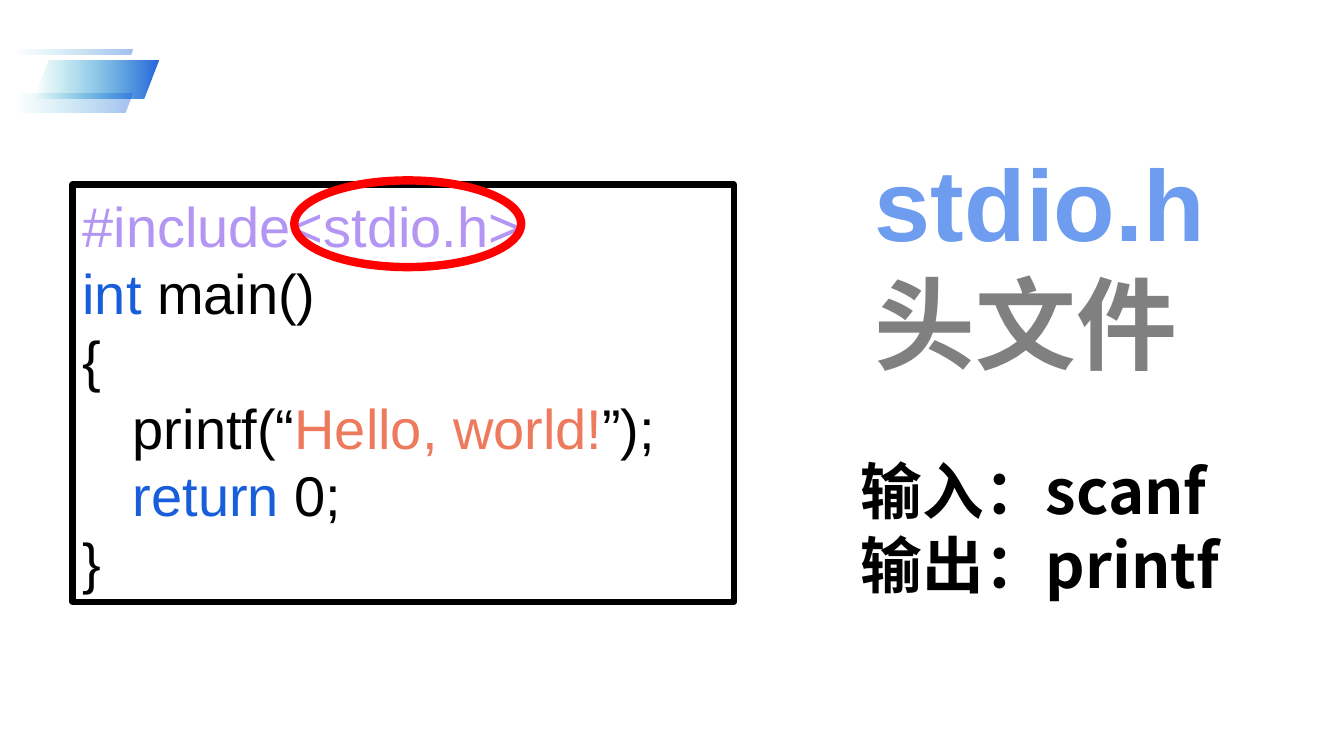
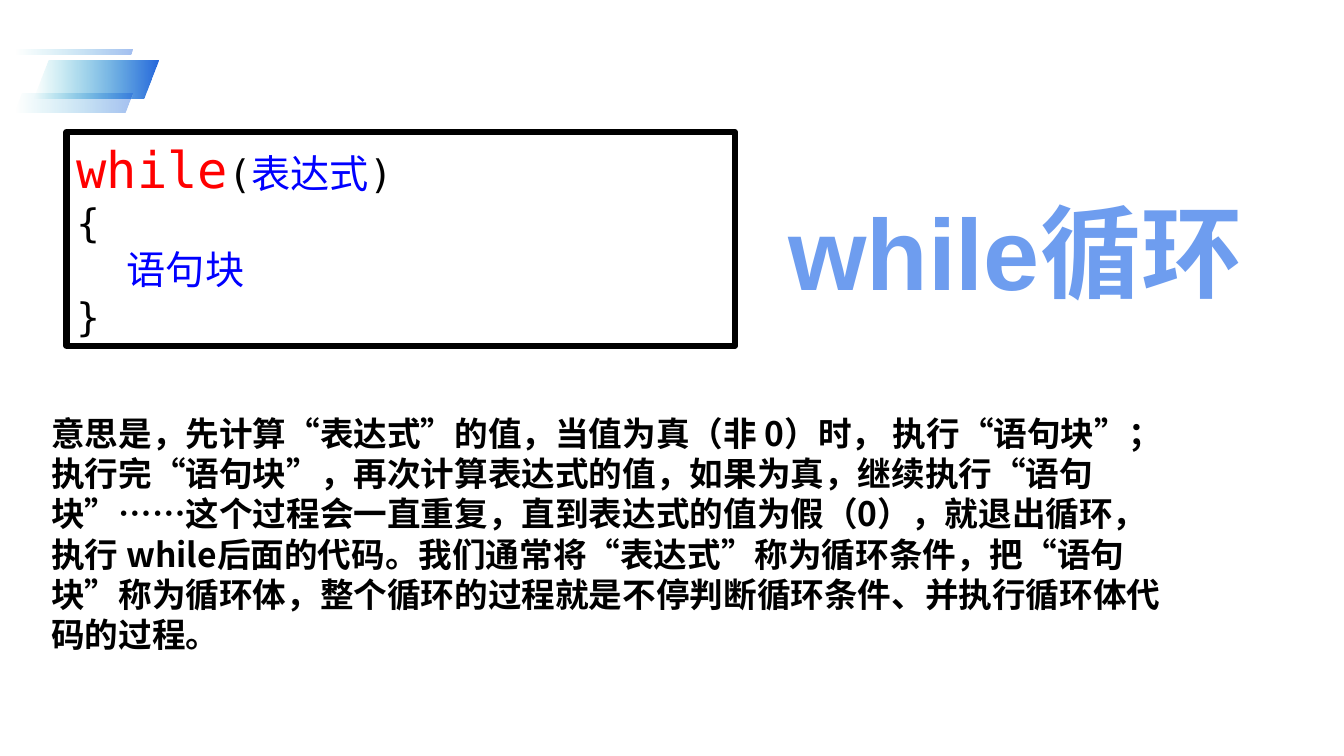
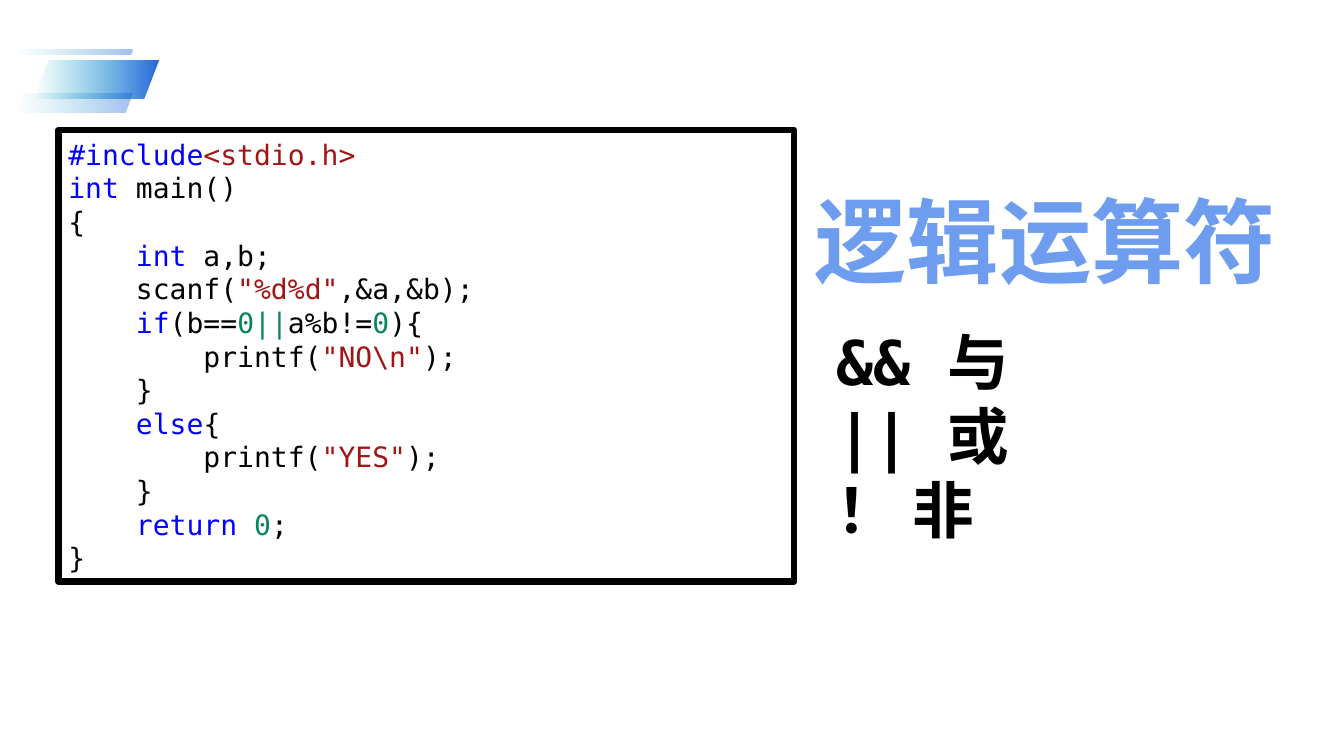
from lxml.etree import SubElement
from pptx import Presentation
from pptx.dml.color import RGBColor
from pptx.enum.shapes import MSO_SHAPE
from pptx.enum.text import MSO_ANCHOR, MSO_AUTO_SIZE, PP_ALIGN
from pptx.oxml.ns import qn
from pptx.util import Pt

HUES = {
    "black": "000000", "gray": "808080", "red": "FF0000", "sky": "6E9DEF",
    "royal": "185EDA", "teal": "07B2C4", "lilac": "B395F4", "coral": "EE7A5D",
    "blue": "0000FF", "brick": "A31515", "green": "098658",
}
SANS, MONO, HAN = "Arial", "DejaVu Sans Mono", "Noto Sans CJK SC"
LEAD = 1.2

BANDS = [
    ((23.76, 43.2, 89.28, 27.36), 94),
    ((10.08, 66.96, 84.24, 13.68), 40),
    ((10.08, 35.28, 84.24, 3.6), 40),
]

SLIDES = [
    {
        "code": {
            "at": (51.84, 131.76, 472.32, 298.08), "size": 40, "font": SANS,
            "lines": [
                [("#include<stdio.h>", "lilac")],
                [("int", "royal"), (" main()", "black")],
                [("{", "black")],
                [("\tprintf(“", "black"), ("Hello, world!", "coral"), ("”);", "black")],
                [("\t", "black"), ("return", "royal"), (" 0;", "black")],
                [("}", "black")],
            ],
        },
        "title": {
            "at": (617.76, 93.6, 258.48, 181.44), "size": 72, "font": SANS,
            "pad": 0.05,
            "lines": [[("stdio.h", "sky")], [("头文件", "gray")]],
        },
        "body": {
            "at": (607.68, 315.36, 281.52, 113.76), "size": 44, "font": HAN,
            "lines": [[("输入：scanf", "black")], [("输出：printf", "black")]],
        },
        "ring": (210.24, 128.88, 162, 61.92),
    },
    {
        "code": {
            "at": (47.52, 94.32, 477.36, 152.64), "size": 28, "font": MONO,
            "lines": [
                [("while", "red", 36), ("(", "black"), ("表达式", "blue"), (")", "black")],
                [("{", "black")],
                [("\t语句块", "blue")],
                [("}", "black")],
            ],
        },
        "title": {
            "at": (555.84, 124.56, 363.6, 181.44), "size": 72, "font": SANS,
            "lines": [[("while循环", "sky")]],
        },
        "body": {
            "at": (29.52, 288.72, 813.6, 152.64), "size": 24, "font": HAN,
            "lines": [[(
                "意思是，先计算“表达式”的值，当值为真（非 0）时， 执行“语句块”；"
                "执行完“语句块”，再次计算表达式的值，如果为真，继续执行“语句块”"
                "……这个过程会一直重复，直到表达式的值为假（0），就退出循环，"
                "执行 while后面的代码。我们通常将“表达式”称为循环条件，"
                "把“语句块”称为循环体，整个循环的过程就是不停判断循环条件、"
                "并执行循环体代码的过程。", "black")]],
        },
    },
    {
        "code": {
            "at": (41.76, 92.88, 525.6, 322.56), "size": 20, "font": MONO,
            "lines": [
                [("#include", "blue"), ("<stdio.h>", "brick")],
                [("int", "blue"), (" main()", "black")],
                [("{", "black")],
                [("    ", "black"), ("int", "blue"), (" a,b;", "black")],
                [("    scanf(", "black"), ('"%d%d"', "brick"), (",&a,&b);", "black")],
                [("    ", "black"), ("if", "blue"), ("(b==", "black"), ("0||", "green"),
                 ("a%b!=", "black"), ("0", "green"), ("){", "black")],
                [("        printf(", "black"), ('"NO\\n"', "brick"), (");", "black")],
                [("    }", "black")],
                [("    ", "black"), ("else", "blue"), ("{", "black")],
                [("        printf(", "black"), ('"YES"', "brick"), (");", "black")],
                [("    }", "black")],
                [("    ", "black"), ("return ", "blue"), ("0", "green"), (";", "black")],
                [("}", "black")],
            ],
        },
        "title": {
            "at": (574.56, 120.96, 363.6, 87.12), "size": 66, "font": SANS,
            "lines": [[("逻辑运算符", "sky")]],
        },
        "body": {
            "at": (590.4, 223.2, 347.76, 167.04), "size": 44, "font": MONO,
            "lines": [[("&& 与", "black")], [("|| 或", "black")], [("！ 非", "black")]],
        },
    },
]


def tint(name):
    return RGBColor.from_string(HUES[name])


def place(shape, at):
    shape.left, shape.top, shape.width, shape.height = map(Pt, at)


def write(shape, part, bold, pad, anchor):
    frame = shape.text_frame
    frame.word_wrap = True
    frame.auto_size = MSO_AUTO_SIZE.NONE
    frame.vertical_anchor = anchor
    frame.margin_left = frame.margin_right = Pt(7.2)
    frame.margin_top = Pt(3.6 + pad * part["size"])
    frame.margin_bottom = Pt(3.6)
    for i, line in enumerate(part["lines"]):
        para = frame.paragraphs[0] if i == 0 else frame.add_paragraph()
        props = para._p.get_or_add_pPr()
        props.set("marL", "0")
        props.set("indent", "0")
        SubElement(props, qn("a:buNone"))
        para.alignment = PP_ALIGN.LEFT
        para.space_before = para.space_after = Pt(0)
        top = 0
        for text, hue, *own in line:
            size = own[0] if own else part["size"]
            top = max(top, size)
            run = para.add_run()
            run.text = text
            font = run.font
            font.size, font.bold, font.name = Pt(size), bold, part["font"]
            font.color.rgb = tint(hue)
            SubElement(run._r.get_or_add_rPr(), qn("a:ea"), typeface=HAN)
        para.line_spacing = Pt(top * LEAD)


def frame_up(slide, kind, at, hue, width):
    shape = slide.shapes.add_shape(kind, *map(Pt, at))
    shape.shadow.inherit = False
    shape.fill.background()
    shape.line.color.rgb = tint(hue)
    shape.line.width = Pt(width)
    return shape


def add_bands(slide):
    group = slide.shapes.add_group_shape()
    for at, end in BANDS:
        band = group.shapes.add_shape(MSO_SHAPE.PARALLELOGRAM, *map(Pt, at))
        band.adjustments[0] = 0.395
        band.shadow.inherit = False
        band.line.fill.background()
        band.fill.gradient()
        band.fill.gradient_angle = 0
        for stop, hue in zip(band.fill.gradient_stops, ("teal", "royal")):
            stop.color.rgb = tint(hue)
        tones = band._element.spPr.iter(qn("a:srgbClr"))
        for tone, alpha in zip(list(tones), (0, end)):
            SubElement(tone, qn("a:alpha"), val=str(alpha * 1000))


def build(deck, data):
    slide = deck.slides.add_slide(deck.slide_layouts[1])
    add_bands(slide)
    code = data["code"]
    box = frame_up(slide, MSO_SHAPE.RECTANGLE, code["at"], "black", 4.5)
    write(box, code, False, 0, MSO_ANCHOR.MIDDLE)
    if "ring" in data:
        frame_up(slide, MSO_SHAPE.OVAL, data["ring"], "red", 6)
    for holder, key in zip(slide.placeholders, ("title", "body")):
        part = data[key]
        place(holder, part["at"])
        write(holder, part, True, part.get("pad", 0.1), MSO_ANCHOR.TOP)


def main():
    deck = Presentation()
    deck.slide_width, deck.slide_height = Pt(960), Pt(540)
    for data in SLIDES:
        build(deck, data)
    deck.save("out.pptx")


if __name__ == "__main__":
    main()
